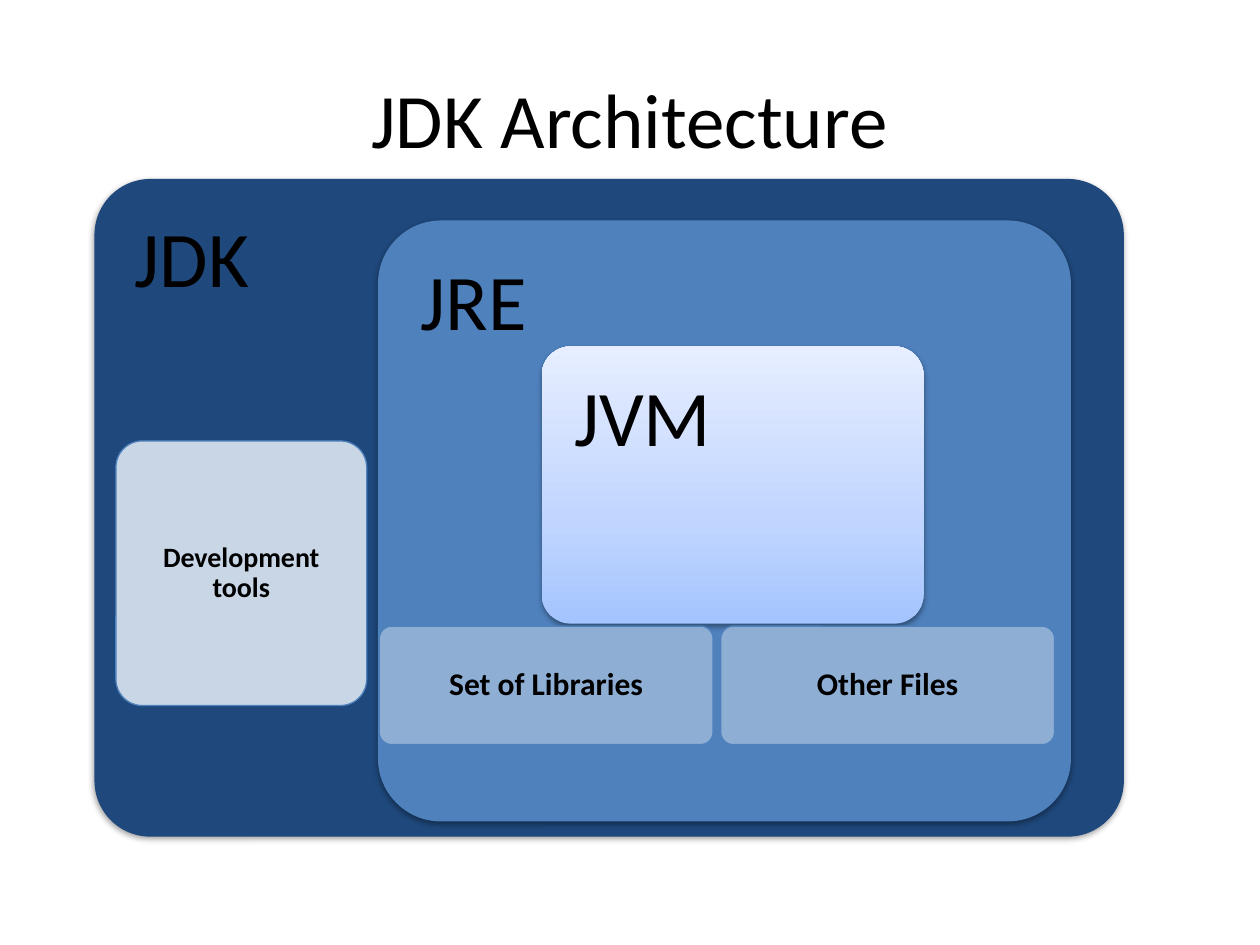
import pptx
import pptx.util
import pptx.oxml
import pptx.dml.color
import pptx.enum.shapes
import pptx.enum.text
from pptx.util import Inches

NS = 'xmlns:a="http://schemas.openxmlformats.org/drawingml/2006/main"'
SHAPE = pptx.enum.shapes.MSO_SHAPE
ALIGN = pptx.enum.text.PP_ALIGN
ANCHOR = pptx.enum.text.MSO_ANCHOR

THEME = {
    "font": "Calibri", "text": "000000", "edge": "4F81BD",
    "title": 44, "layer": 45, "tool": 16, "part": 18,
    "jdk": "1F497D", "jre": "4F81BD", "tools": "DCE6F2", "parts": "95B3D7",
    "jvm": [(0, "A4C4FF"), (35, "BFD4FF"), (100, "E6EEFF")],
}

# Content: text, place (left, top, width, height), colour, corner
TITLE = ("JDK Architecture", (0.5, 0.29, 9, 1.29))
JDK = ("JDK", (0.75, 1.42, 8.17, 5.22), "jdk", 0.085)
JRE = ("JRE", (3, 1.75, 5.5, 4.77), "jre", 0.105)
JVM = ("JVM", (4.3, 2.75, 3.03, 2.2), "jvm", 0.105)
TOOLS = ("Development tools", (0.92, 3.5, 1.99, 2.1))
PARTS = ["Set of Libraries", "Other Files"]
ROW = (3.01, 4.97, 2.65, 0.94)
GAP = 0.06


def add_xml(shape, tag, body, attrs="", index=None):
    props = shape._element.spPr
    node = pptx.oxml.parse_xml(f"<a:{tag} {NS} {attrs}>{body}</a:{tag}>")
    props.insert(len(props) if index is None else index, node)


def write(shape, text, size, align, anchor, inset, bold=False, space=0.9):
    frame = shape.text_frame
    frame.word_wrap = True
    frame.text = text
    frame.vertical_anchor = anchor
    frame.margin_left = frame.margin_right = Inches(inset)
    frame.margin_top = frame.margin_bottom = Inches(inset)
    para = frame.paragraphs[0]
    para.alignment = align
    para.line_spacing = space
    font = para.runs[0].font
    font.name = THEME["font"]
    font.size = pptx.util.Pt(THEME[size])
    font.bold = bold
    font.color.rgb = pptx.dml.color.RGBColor.from_string(THEME["text"])


def add_box(slide, place, color, corner=0.105):
    box = slide.shapes.add_shape(SHAPE.ROUNDED_RECTANGLE, *map(Inches, place))
    box.adjustments[0] = corner
    paint = THEME[color]
    if isinstance(paint, list):
        stops = "".join(f'<a:gs pos="{pos * 1000}"><a:srgbClr val="{rgb}"/></a:gs>'
                        for pos, rgb in paint)
        # Runs from the bottom edge up
        add_xml(box, "gradFill", f'<a:gsLst>{stops}</a:gsLst><a:lin ang="16200000"/>',
                index=2)
    else:
        box.fill.solid()
        box.fill.fore_color.rgb = pptx.dml.color.RGBColor.from_string(paint)
    return box


def add_layer(slide, text, place, color, corner):
    box = add_box(slide, place, color, corner)
    box.line.fill.background()
    add_xml(box, "effectLst",
            '<a:outerShdw blurRad="40000" dist="20000" dir="5400000" rotWithShape="0">'
            '<a:srgbClr val="000000"><a:alpha val="38000"/></a:srgbClr></a:outerShdw>')
    write(box, text, "layer", ALIGN.LEFT, ANCHOR.TOP, 0.19)


def add_part(slide, text, place, color, size):
    box = add_box(slide, place, color)
    tint = box.fill._xPr.solidFill.srgbClr if hasattr(box.fill._xPr, "solidFill") \
        else box._element.spPr.find(".//{*}solidFill/{*}srgbClr")
    tint.append(pptx.oxml.parse_xml(f'<a:alpha {NS} val="90000"/>'))
    box.line.color.rgb = pptx.dml.color.RGBColor.from_string(THEME["edge"])
    box.line.width = pptx.util.Pt(0.75)
    box.shadow.inherit = False
    write(box, text, size, ALIGN.CENTER, ANCHOR.MIDDLE, 0.07, bold=True)


def main():
    deck = pptx.Presentation()
    deck.slide_width, deck.slide_height = Inches(10), Inches(7.5)
    slide = deck.slides.add_slide(deck.slide_layouts[6])

    # Title
    text, place = TITLE
    head = slide.shapes.add_textbox(*map(Inches, place))
    write(head, text, "title", ALIGN.CENTER, ANCHOR.MIDDLE, 0.1, space=1.0)

    # Nested layers and development tools
    add_layer(slide, *JDK)
    add_layer(slide, *JRE)
    add_part(slide, *TOOLS, "tools", "tool")
    add_layer(slide, *JVM)

    # Row of runtime parts
    left, top, width, height = ROW
    for i, text in enumerate(PARTS):
        place = (left + i * (width + GAP), top, width, height)
        add_part(slide, text, place, "parts", "part")

    deck.save("out.pptx")


if __name__ == "__main__":
    main()
